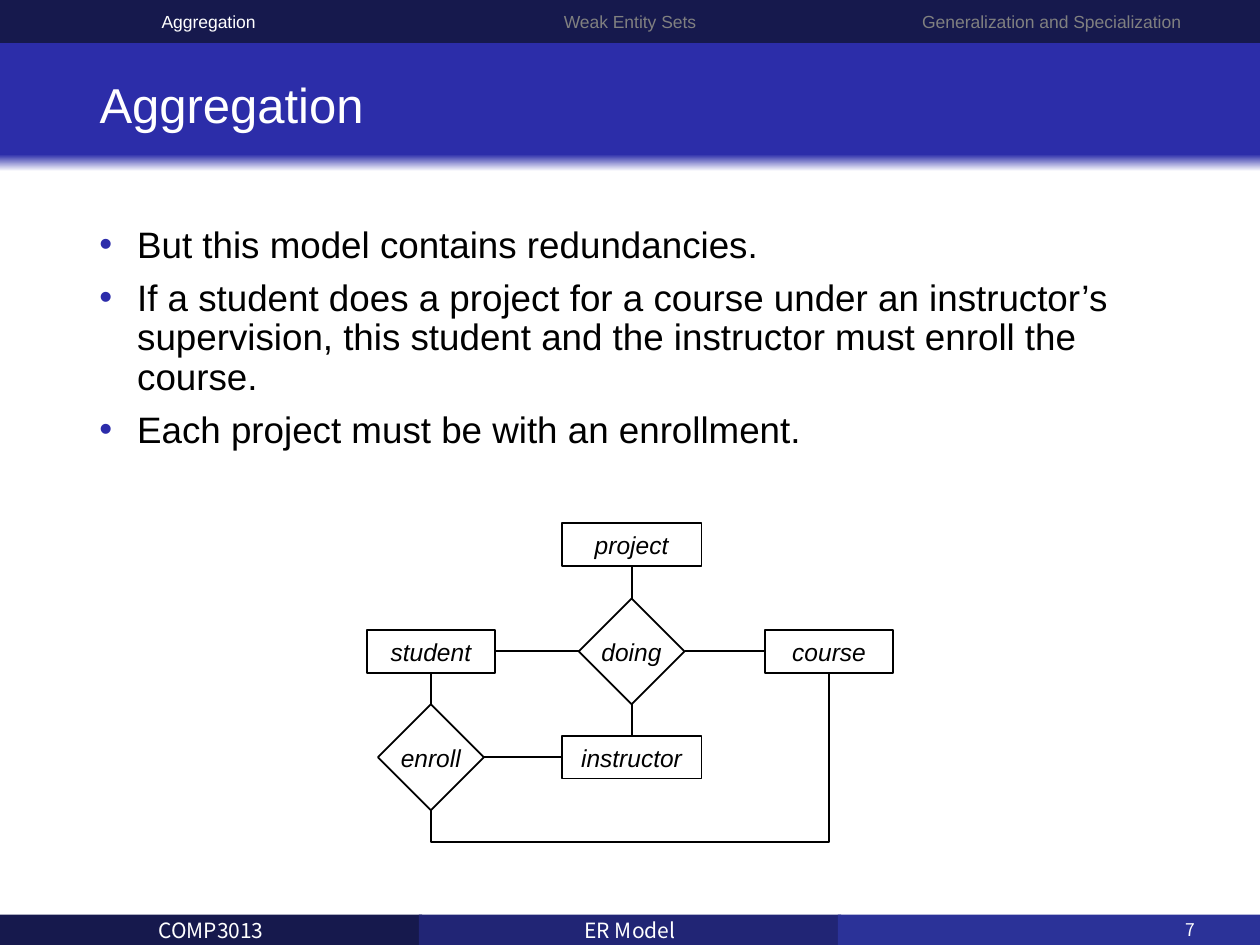
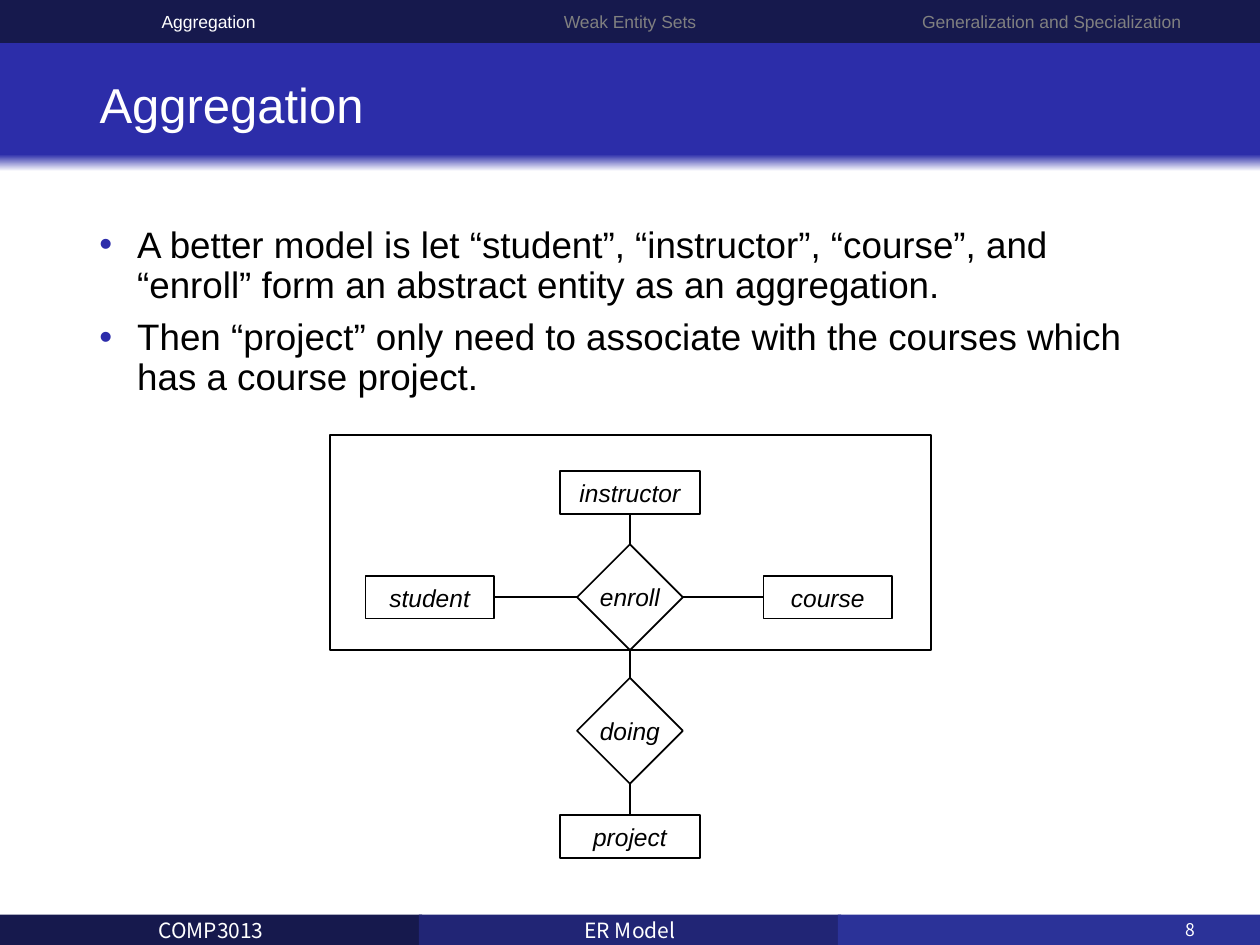
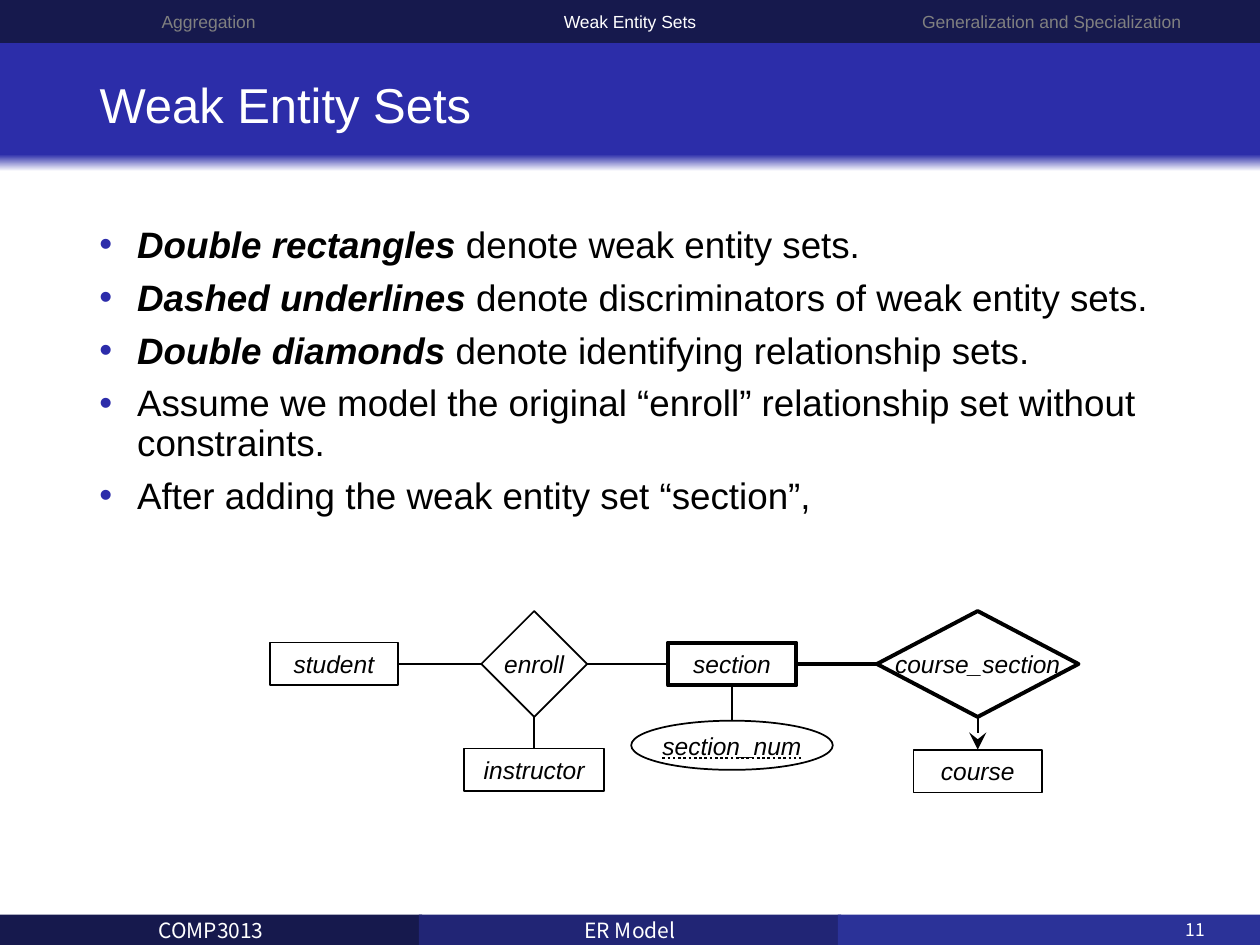
import pptx
import pptx.dml.color
import pptx.enum.shapes
import pptx.enum.text
import pptx.oxml
import pptx.oxml.ns
import pptx.util
from lxml import etree

SHAPES = pptx.enum.shapes.MSO_SHAPE
CONNECTORS = pptx.enum.shapes.MSO_CONNECTOR
ALIGN = pptx.enum.text.PP_ALIGN
MIDDLE = pptx.enum.text.MSO_ANCHOR.MIDDLE
DOTTED = pptx.enum.text.MSO_UNDERLINE.DOTTED_HEAVY_LINE
COLUMNS, ROWS = 100, 75
TOP, LEFT, BOTTOM, RIGHT = range(4)
SECTIONS = ("Aggregation", "Weak Entity Sets", "Generalization and Specialization")


def color(value):
    return pptx.dml.color.RGBColor.from_string(value)


def add_xml(parent, tag, **attributes):
    return etree.SubElement(parent, pptx.oxml.ns.qn(tag), attributes)


class Deck:
    navy, indigo, royal = "16194D", "212575", "2B3298"
    band_blue, bullet_blue = "2C2DA9", "2C2CAA"
    white, black, gray = "FFFFFF", "000000", "808080"
    font = "Arial"
    tab_edges = (0, 33.1, 66.9, COLUMNS)
    footer_top, footer_height = 72.6, 2.4
    entity, wide_entity = (10.2, 3.4), (11.1, 3.4)
    relationship, wide_relationship = (8.4, 8.4), (16, 8.4)
    attribute = (16, 3.9)

    def __init__(self):
        self.presentation = pptx.Presentation()
        self.presentation.slide_width = pptx.util.Inches(10)
        self.presentation.slide_height = pptx.util.Inches(7.5)
        self.slide = None

    def x(self, columns):
        return round(self.presentation.slide_width * columns / COLUMNS)

    def y(self, rows):
        return round(self.presentation.slide_height * rows / ROWS)

    def box(self, left, top, width, height):
        return self.x(left), self.y(top), self.x(width), self.y(height)

    def style(self, paragraph, size, ink, font=None, align=ALIGN.LEFT):
        paragraph.alignment = align
        for run in paragraph.runs:
            run.font.name = font or self.font
            run.font.size = pptx.util.Pt(size)
            run.font.color.rgb = color(ink)

    def shape(self, kind, *place, fill=None, line=None):
        shape = self.slide.shapes.add_shape(kind, *self.box(*place))
        shape.shadow.inherit = False
        if fill:
            shape.fill.solid()
            shape.fill.fore_color.rgb = color(fill)
        else:
            shape.fill.background()
        if line:
            shape.line.color.rgb = color(self.black)
            shape.line.width = pptx.util.Pt(line)
        else:
            shape.line.fill.background()
        return shape

    def label(self, shape, text, size, ink, font=None):
        frame = shape.text_frame
        frame.vertical_anchor = MIDDLE
        frame.margin_left = frame.margin_right = 0
        frame.margin_top = frame.margin_bottom = 0
        frame.word_wrap = False
        frame.text = text
        self.style(frame.paragraphs[0], size, ink, font, ALIGN.CENTER)

    def footer(self, number):
        parts = (("COMP3013", self.navy), ("ER Model", self.indigo), ("", self.royal))
        width = 33.5
        step = (COLUMNS - width) / (len(parts) - 1)
        for index, (text, fill) in enumerate(parts):
            bar = self.shape(SHAPES.RECTANGLE, index * step, self.footer_top,
                             width, self.footer_height, fill=fill)
            if text:
                self.label(bar, text, 12, self.white, "Noto Sans CJK SC")
        page = self.slide.shapes.add_textbox(
            *self.box(93.1, self.footer_top, 6, self.footer_height))
        page.text_frame.word_wrap = True
        page.text_frame.vertical_anchor = MIDDLE
        page.text_frame.text = str(number)
        self.style(page.text_frame.paragraphs[0], 10, self.white, "Noto Sans CJK JP")

    def title(self, text):
        band = self.shape(SHAPES.RECTANGLE, 0, 3.3, COLUMNS, 10.3)
        band.fill.gradient()
        band.fill.gradient_angle = 90
        stops = ((0, self.white), (0.13, self.band_blue))
        for stop, (position, value) in zip(band.fill.gradient_stops, stops):
            stop.position = position
            stop.color.rgb = color(value)
        title = self.slide.shapes.title
        title.left, title.top, title.width, title.height = self.box(6.9, 3.9, 86.2, 9.2)
        title.text_frame.text = text
        title.text_frame.vertical_anchor = MIDDLE
        paragraph = title.text_frame.paragraphs[0]
        paragraph.line_spacing = 0.9
        self.style(paragraph, 28, self.white)
        title._element.getparent().append(title._element)

    def tabs(self, current):
        for text, left, right in zip(SECTIONS, self.tab_edges, self.tab_edges[1:]):
            tab = self.shape(SHAPES.RECTANGLE, left, 0, right - left, 3.4, fill=self.navy)
            self.label(tab, text, 10, self.white if text == current else self.gray)

    def start(self, section, number):
        self.slide = self.presentation.slides.add_slide(self.presentation.slide_layouts[5])
        self.footer(number)
        self.title(section)
        self.tabs(section)

    def bullets(self, height, items):
        body = self.slide.shapes.add_textbox(*self.box(6.9, 17.5, 86.2, height))
        frame = body.text_frame
        frame.word_wrap = True
        for index, (strong, plain) in enumerate(items):
            paragraph = frame.add_paragraph() if index else frame.paragraphs[0]
            indent = self.x(3)
            properties = paragraph._p.get_or_add_pPr()
            properties.set("marL", str(indent))
            properties.set("indent", str(-indent))
            bullet_color = add_xml(properties, "a:buClr")
            add_xml(bullet_color, "a:srgbClr", val=self.bullet_blue)
            add_xml(properties, "a:buFont", typeface=self.font)
            add_xml(properties, "a:buChar", char="•")
            paragraph.line_spacing = 0.9
            if index:
                paragraph.space_before = pptx.util.Pt(7.5)
            if strong:
                run = paragraph.add_run()
                run.text = strong
                run.font.bold = run.font.italic = True
            paragraph.add_run().text = plain
            self.style(paragraph, 21, self.black)

    def node(self, kind, text, center, size, line=1):
        (column, row), (width, height) = center, size
        shape = self.shape(kind, column - width / 2, row - height / 2,
                           width, height, line=line)
        self.label(shape, text, 14, self.black)
        shape.text_frame.paragraphs[0].runs[0].font.italic = True
        return shape

    def box_node(self, text, column, row, line=1):
        size = self.wide_entity if text in ("instructor", "project") else self.entity
        return self.node(SHAPES.RECTANGLE, text, (column, row), size, line)

    def diamond(self, text, column, row, size=relationship, line=1):
        return self.node(SHAPES.DIAMOND, text, (column, row), size, line)

    def discriminator(self, text, column, row):
        shape = self.node(SHAPES.OVAL, text, (column, row), self.attribute)
        shape.text_frame.paragraphs[0].runs[0].font.underline = DOTTED
        return shape

    def finish_line(self, connector, width, arrow=False):
        connector.line.color.rgb = color(self.black)
        connector.line.width = pptx.util.Pt(width)
        properties = connector._element.spPr
        if arrow:
            line = properties.find(pptx.oxml.ns.qn("a:ln"))
            add_xml(line, "a:tailEnd", type="stealth", w="lg", len="lg")
        add_xml(properties, "a:effectLst")

    def link(self, start, start_side, end, end_side, width=1.25, arrow=False):
        connector = self.slide.shapes.add_connector(CONNECTORS.STRAIGHT, 0, 0, 0, 0)
        connector.begin_connect(start, start_side)
        connector.end_connect(end, end_side)
        self.finish_line(connector, width, arrow)

    def link_below(self, start, end, drop):
        start_x, end_x = (node.left + node.width // 2 for node in (start, end))
        start_y, end_y = (node.top + node.height for node in (start, end))
        run, rise = start_x - end_x, end_y - start_y
        left = (start_x + end_x - rise) // 2
        top = (start_y + end_y - run) // 2
        connector = self.slide.shapes.add_connector(
            CONNECTORS.ELBOW, left, top, left + rise, top + run)
        properties = connector._element.spPr
        properties.find(pptx.oxml.ns.qn("a:xfrm")).set("rot", "5400000")
        geometry = properties.find(pptx.oxml.ns.qn("a:prstGeom"))
        adjustments = geometry.find(pptx.oxml.ns.qn("a:avLst"))
        if adjustments is None:
            adjustments = add_xml(geometry, "a:avLst")
        bend = round(100000 * (1 + self.y(drop) / rise))
        add_xml(adjustments, "a:gd", name="adj1", fmla=f"val {bend}")
        self.finish_line(connector, 1.25)


def redundant_model(deck):
    deck.start("Aggregation", 7)
    deck.bullets(48, (
        ("", "But this model contains redundancies."),
        ("", "If a student does a project for a course under an instructor’s "
             "supervision, this student and the instructor must enroll the course."),
        ("", "Each project must be with an enrollment."),
    ))
    left, middle, right = 34.2, 50.13, 65.8
    upper, lower = 51.7, 60.1
    student = deck.box_node("student", left, upper)
    course = deck.box_node("course", right, upper)
    doing = deck.diamond("doing", middle, upper)
    instructor = deck.box_node("instructor", middle, lower)
    project = deck.box_node("project", middle, 43.2)
    enroll = deck.diamond("enroll", left, lower)
    deck.link(student, RIGHT, doing, LEFT)
    deck.link(doing, RIGHT, course, LEFT)
    deck.link(doing, BOTTOM, instructor, TOP)
    deck.link(project, BOTTOM, doing, TOP)
    deck.link(student, BOTTOM, enroll, TOP)
    deck.link(enroll, RIGHT, instructor, LEFT)
    deck.link_below(course, enroll, 2.5)


def aggregated_model(deck):
    deck.start("Aggregation", 8)
    deck.bullets(34.3, (
        ("", "A better model is let “student”, “instructor”, “course”, and “enroll” "
             "form an abstract entity as an aggregation."),
        ("", "Then “project” only need to associate with the courses which has "
             "a course project."),
    ))
    middle, row = 50, 47.4
    deck.shape(SHAPES.RECTANGLE, 26.2, 34.5, 47.7, 17.1, line=1)
    student = deck.box_node("student", 34.1, row)
    course = deck.box_node("course", 65.7, row)
    enroll = deck.diamond("enroll", middle, row)
    instructor = deck.box_node("instructor", middle, 39.1)
    doing = deck.diamond("doing", middle, 58)
    project = deck.box_node("project", middle, 66.4)
    deck.link(student, RIGHT, enroll, LEFT)
    deck.link(enroll, RIGHT, course, LEFT)
    deck.link(enroll, TOP, instructor, BOTTOM)
    deck.link(enroll, BOTTOM, doing, TOP)
    deck.link(doing, BOTTOM, project, TOP)


def weak_entity_model(deck):
    deck.start("Weak Entity Sets", 11)
    deck.bullets(34.3, (
        ("Double rectangles ", "denote weak entity sets."),
        ("Dashed underlines ", "denote discriminators of weak entity sets."),
        ("Double diamonds ", "denote identifying relationship sets."),
        ("", "Assume we model the original “enroll” relationship set without constraints."),
        ("", "After adding the weak entity set “section”,"),
    ))
    row, double = 52.7, 2.25
    student = deck.box_node("student", 26.5, row)
    section = deck.box_node("section", 58.1, row, double)
    enroll = deck.diamond("enroll", 42.4, row)
    instructor = deck.box_node("instructor", 42.4, 61.1)
    course = deck.box_node("course", 77.6, 61.2)
    course_section = deck.diamond("course_section", 77.6, row,
                                  deck.wide_relationship, double)
    section_num = deck.discriminator("section_num", 58.1, 59.15)
    deck.link(student, RIGHT, enroll, LEFT)
    deck.link(enroll, RIGHT, section, LEFT)
    deck.link(enroll, BOTTOM, instructor, TOP)
    deck.link(section, RIGHT, course_section, LEFT, width=2.75)
    deck.link(course_section, BOTTOM, course, TOP, arrow=True)
    deck.link(section, BOTTOM, section_num, TOP)


def main():
    deck = Deck()
    redundant_model(deck)
    aggregated_model(deck)
    weak_entity_model(deck)
    deck.presentation.save("out.pptx")


if __name__ == "__main__":
    main()
